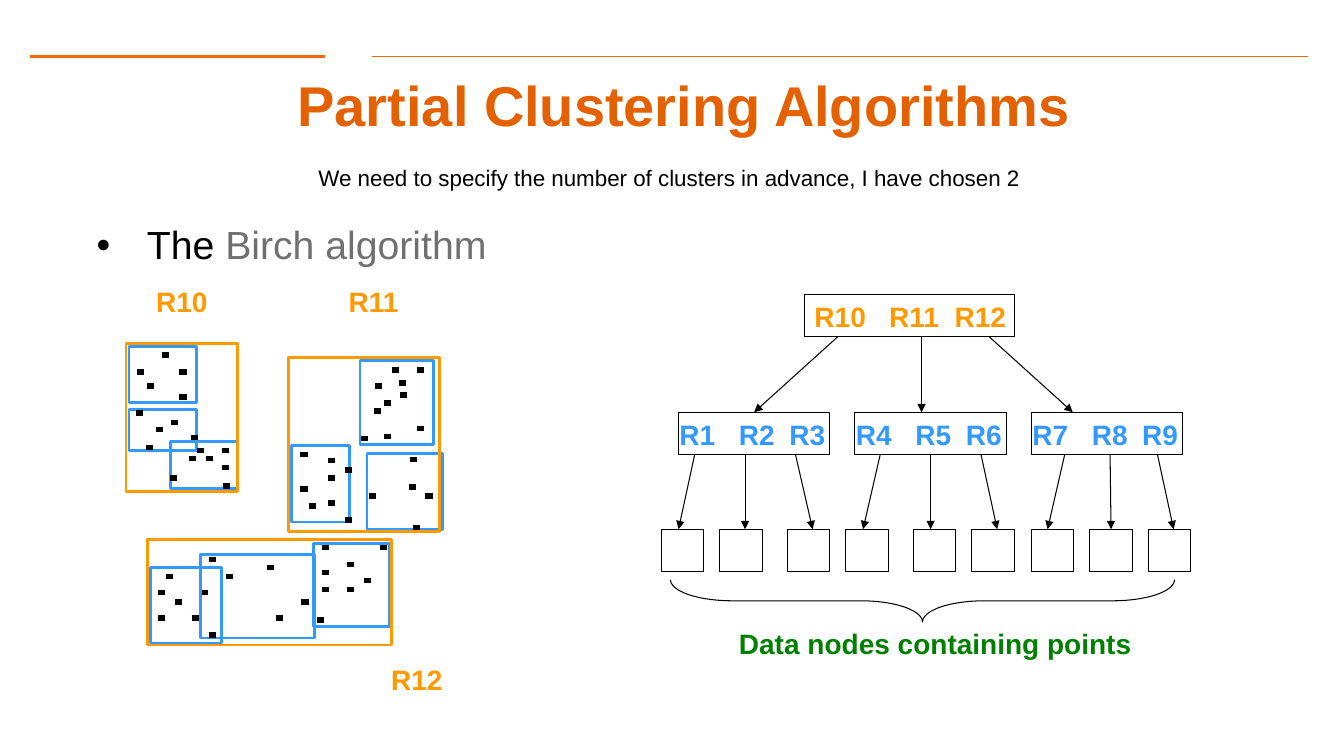
import pptx
import pptx.util
import pptx.dml.color
import pptx.enum.shapes
import pptx.enum.text
import pptx.oxml
from pptx.oxml.ns import qn

Color = pptx.dml.color.RGBColor
Shapes = pptx.enum.shapes.MSO_SHAPE
Align = pptx.enum.text.PP_ALIGN
Anchor = pptx.enum.text.MSO_ANCHOR

# Colours
BLACK = Color(0x00, 0x00, 0x00)
GREY = Color(0x6F, 0x70, 0x6F)
RULE_ORANGE = Color(0xF6, 0x69, 0x00)
TITLE_ORANGE = Color(0xE4, 0x61, 0x02)
ORANGE = Color(0xFF, 0x99, 0x00)
BLUE = Color(0x33, 0x99, 0xFF)
GREEN = Color(0x00, 0x80, 0x00)

# Content: every position and size is in inches, converted by length()
TITLE = "Partial Clustering Algorithms"
SUBTITLE = "We need to specify the number of clusters in advance, I have chosen 2"
RULES = [(0.3, 3.22, 2), (3.69, 12.97, 1)]  # left, right, weight

# Regions as left, top, width, height, with points as left, middle
REGIONS = [
    ("R10", (1.45, 2.77), (1.25, 3.41, 1.11, 1.47), [
        ((1.28, 3.44, 0.67, 0.55),
         [(1.61, 3.52), (1.36, 3.69), (1.78, 3.69), (1.46, 3.83), (1.78, 3.94)]),
        ((1.28, 4.06, 0.67, 0.41),
         [(1.35, 4.1), (1.7, 4.19), (1.55, 4.26), (1.89, 4.34), (1.45, 4.44)]),
        ((1.69, 4.38, 0.67, 0.47),
         [(1.95, 4.47), (2.2, 4.47), (1.87, 4.55), (2.04, 4.55), (2.2, 4.64),
          (1.69, 4.74), (2.21, 4.82)]),
    ]),
    ("R11", (3.36, 2.77), (2.86, 3.55, 1.5, 1.72), [
        ((3.57, 3.58, 0.73, 0.83),
         [(3.89, 3.67), (4.14, 3.67), (3.96, 3.8), (3.72, 3.83), (3.97, 3.92),
          (3.81, 4), (3.71, 4.08), (4.14, 4.25), (3.81, 4.33), (3.58, 4.35)]),
        ((2.89, 4.42, 0.58, 0.76),
         [(2.98, 4.51), (3.25, 4.57), (3.42, 4.66), (3.25, 4.74), (2.98, 4.85),
          (3.25, 4.99), (3.06, 5.02), (3.42, 5.16)]),
        ((3.64, 4.5, 0.75, 0.75),
         [(4.07, 4.56), (4.06, 4.83), (3.66, 4.92), (4.22, 4.92), (4.1, 5.24)]),
    ]),
    ("R12", (3.78, 6.52), (1.46, 5.35, 2.42, 1.05), [
        ((1.49, 5.63, 0.71, 0.75),
         [(1.65, 5.72), (1.57, 5.88), (1.99, 5.88), (1.74, 5.97), (1.57, 6.13),
          (1.9, 6.13)]),
        ((1.99, 5.5, 1.13, 0.83),
         [(2.07, 5.55), (2.65, 5.63), (2.24, 5.72), (2.99, 5.97), (2.74, 6.13),
          (2.07, 6.3)]),
        ((3.11, 5.39, 0.75, 0.83),
         [(3.19, 5.43), (3.77, 5.43), (3.44, 5.6), (3.19, 5.68), (3.61, 5.76),
          (3.19, 5.85), (3.44, 5.85), (3.14, 6.15)]),
    ]),
]
POINT_WIDTH = 0.07

# Tree: branch label, leaf lefts, arrow starts, arrow ends
ROOT_LABEL = "R10\tR11\tR12"
ROOT_ARROWS = [(8.31, 7.48), (9.14, 9.14), (9.81, 10.64)]
BRANCHES = [
    ("R1\tR2\tR3", (6.56, 7.14, 7.81), (6.89, 7.39, 7.89), (6.73, 7.39, 8.06)),
    ("R4\tR5\tR6", (8.39, 9.06, 9.64), (8.73, 9.23, 9.73), (8.56, 9.23, 9.89)),
    ("R7\tR8\tR9", (10.23, 10.81, 11.39), (10.56, 11.01, 11.48), (10.39, 11.01, 11.64)),
]
ROOT_TOP, BRANCH_TOP, LEAF_TOP, NODE_HEIGHT = 2.92, 4.09, 5.25, 0.42
BRANCH_LEFT, BRANCH_STEP, BRANCH_WIDTH = 6.73, 1.75, 1.5


def length(inches):
    return pptx.util.Cm(inches * 2.54)


deck = pptx.Presentation()
deck.slide_width, deck.slide_height = length(13.33), length(7.5)
page = deck.slides.add_slide(deck.slide_layouts[5])


def add_span(para, text, size, color, bold=False):
    span = para.add_run()
    span.text = text
    font = span.font
    font.name, font.size, font.bold = "Arial", pptx.util.Pt(size), bold
    font.color.rgb = color


def add_text(text, left, top, width, height, size=20, color=BLACK, bold=True,
             wrap=True, tabs=()):
    box = page.shapes.add_textbox(*map(length, (left, top, width, height)))
    box.text_frame.word_wrap = wrap
    para = box.text_frame.paragraphs[0]
    if tabs:
        stops = para._p.get_or_add_pPr().makeelement(qn("a:tabLst"), {})
        para._p.get_or_add_pPr().append(stops)
        for position in tabs:
            stops.append(stops.makeelement(
                qn("a:tab"), {"pos": str(int(length(position))), "algn": "l"}))
    add_span(para, text, size, color, bold)
    return para


def add_outline(kind, left, top, width, height, color=BLACK, weight=0.75):
    shape = page.shapes.add_shape(kind, *map(length, (left, top, width, height)))
    shape.shadow.inherit = False
    shape.fill.background()
    shape.line.color.rgb = color
    shape.line.width = pptx.util.Pt(weight)
    return shape


def add_line(start, end, color=BLACK, weight=0.75, arrow=False):
    line = page.shapes.add_connector(
        pptx.enum.shapes.MSO_CONNECTOR.STRAIGHT, *map(length, start + end))
    line.line.color.rgb = color
    line.line.width = pptx.util.Pt(weight)
    properties = line._element.spPr
    if arrow:
        outline = line.line._get_or_add_ln()
        outline.append(outline.makeelement(qn("a:tailEnd"), {"type": "triangle"}))
    properties.append(properties.makeelement(qn("a:effectLst"), {}))
    return line


def at_middle(node, x):
    return abs(node.left + node.width / 2 - length(x)) < length(0.02)


def link(parent, child, start_x, end_x, start_y, end_y):
    arrow = add_line((start_x, start_y), (end_x, end_y), arrow=True)
    if at_middle(parent, start_x):
        arrow.begin_connect(parent, 2)
    if at_middle(child, end_x):
        arrow.end_connect(child, 0)


# Header rules, title and subtitle
for left, right, weight in RULES:
    add_line((left, 0.56), (right, 0.56), RULE_ORANGE, weight)
title = page.shapes.title
title.left, title.top, title.width, title.height = map(length, (0.78, 0.76, 12, 0.55))
frame = title.text_frame
frame.word_wrap = True
frame.auto_size = pptx.enum.text.MSO_AUTO_SIZE.NONE
frame.vertical_anchor = Anchor.MIDDLE
frame.margin_left = frame.margin_right = length(0.13)
frame.margin_top = frame.margin_bottom = length(0.13)
frame.paragraphs[0].alignment = Align.CENTER
add_span(frame.paragraphs[0], TITLE, 40, TITLE_ORANGE, bold=True)
add_text(SUBTITLE, 3.06, 1.58, 7.19, 0.37, size=16, bold=False, wrap=False)

# Bullet
bullet = add_text("The ", 0.86, 2.19, 8.5, 0.46, size=28, bold=False)
add_span(bullet, "Birch algorithm", 28, GREY)
bullet.line_spacing = 0.9
indents = bullet._p.get_or_add_pPr()
indents.set("marL", str(int(length(0.5))))
indents.set("indent", str(-int(length(0.5))))
indents.append(indents.makeelement(qn("a:buFont"), {"typeface": "Arial"}))
indents.append(indents.makeelement(qn("a:buChar"), {"char": "•"}))

# Clustered points
for name, (label_left, label_top), region, clusters in REGIONS:
    for cluster, points in clusters:
        add_outline(Shapes.RECTANGLE, *cluster, color=BLUE, weight=2)
        for x, y in points:
            add_line((x, y), (x + POINT_WIDTH, y), weight=4)
    add_outline(Shapes.RECTANGLE, *region, color=ORANGE, weight=2)
    add_text(name, label_left, label_top, 0.71, 0.43, color=ORANGE, wrap=False)

# Tree
root = add_outline(Shapes.RECTANGLE, 7.98, ROOT_TOP, 2.08, NODE_HEIGHT)
add_text(ROOT_LABEL, 7.98, ROOT_TOP, 2.17, 0.43, color=ORANGE, tabs=(0.74, 1.39))
for index, (label, leaf_lefts, starts, ends) in enumerate(BRANCHES):
    left = BRANCH_LEFT + index * BRANCH_STEP
    branch = add_outline(Shapes.RECTANGLE, left, BRANCH_TOP, BRANCH_WIDTH, NODE_HEIGHT)
    add_text(label, left - 0.09, BRANCH_TOP, 1.75, 0.43, color=BLUE, tabs=(0.59, 1.09))
    link(root, branch, *ROOT_ARROWS[index], ROOT_TOP + NODE_HEIGHT, BRANCH_TOP)
    for leaf_left, start, end in zip(leaf_lefts, starts, ends):
        leaf = add_outline(Shapes.RECTANGLE, leaf_left, LEAF_TOP, NODE_HEIGHT, NODE_HEIGHT)
        link(branch, leaf, start, end, BRANCH_TOP + NODE_HEIGHT, LEAF_TOP)

# Brace under the leaves
brace = add_outline(Shapes.LEFT_BRACE, 8.94, 3.46, 0.42, 5)
brace.rotation = 270
brace.adjustments[0], brace.adjustments[1] = 1.46, 0.5
add_text("Data nodes containing points", 7.23, 6.17, 4.42, 0.43, color=GREEN)

deck.save("out.pptx")
